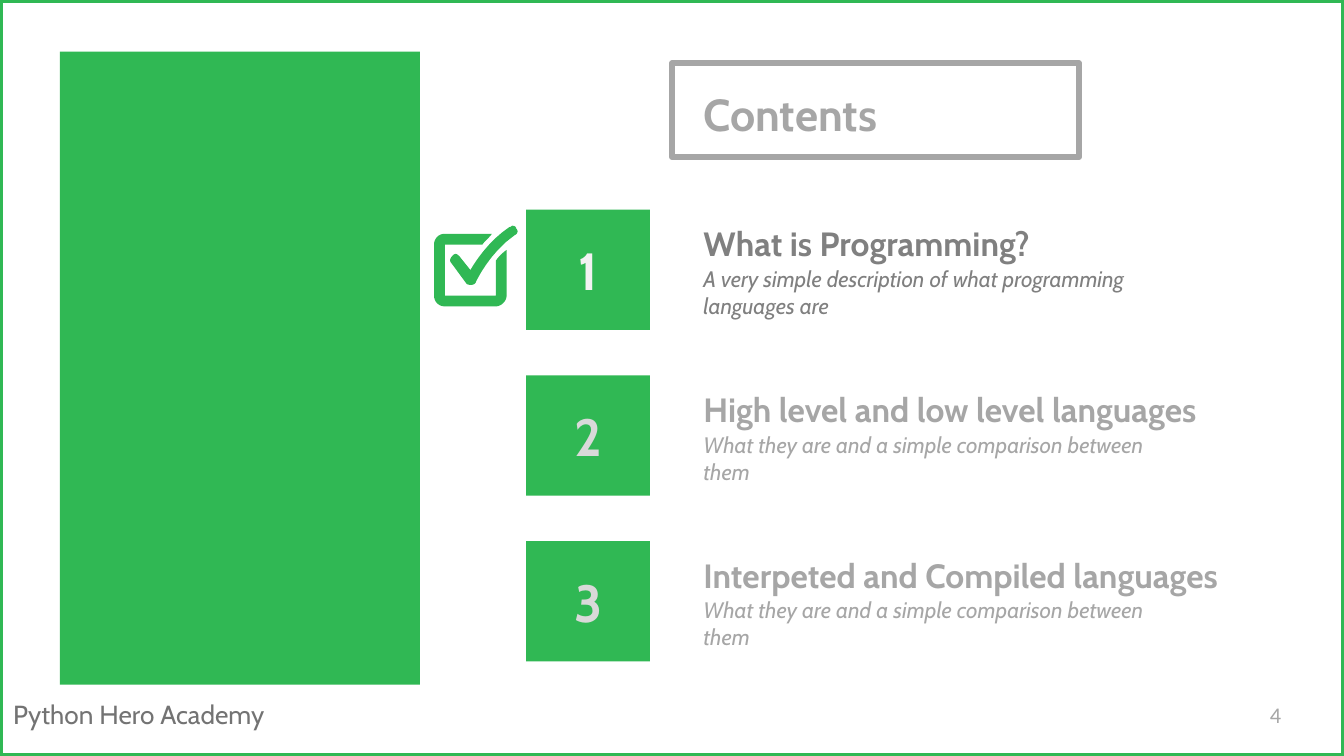
from pptx import Presentation, util as u
from pptx.dml import color
from pptx.enum import shapes, text

GREEN, GREY, DARK = "30B854", "A6A6A6", "808080"
rgb = color.RGBColor.from_string

deck = Presentation()
deck.slide_width = u.Inches(10)
deck.slide_height = deck.slide_width * 9 // 16
CELL = deck.slide_width / 100
page = deck.slides.add_slide(deck.slide_layouts[6])


def add_block(area, fill=None, line=None):
    block = page.shapes.add_shape(
        shapes.MSO_SHAPE.RECTANGLE, *(round(side * CELL) for side in area))
    block.shadow.inherit = False
    if fill:
        block.fill.solid()
        block.fill.fore_color.rgb = rgb(fill)
    else:
        block.fill.background()
    if line:
        block.line.color.rgb = rgb(line)
        block.line.width = u.Pt(3)
    else:
        block.line.fill.background()


def add_text(words, area, size, ink, anchor="MIDDLE", align="LEFT",
             bold=False, italic=False, face="Cabin", inset=1):
    box = page.shapes.add_textbox(*(round(side * CELL) for side in area))
    frame = box.text_frame
    frame.text = words
    frame.word_wrap = True
    frame.vertical_anchor = text.MSO_ANCHOR[anchor]
    frame.margin_left = frame.margin_right = round(CELL)
    frame.margin_top = frame.margin_bottom = round(inset * CELL)
    para = frame.paragraphs[0]
    para.alignment = text.PP_ALIGN[align]
    font = para.runs[0].font
    font.name, font.size, font.bold, font.italic = face, u.Pt(size), bold, italic
    font.color.rgb = rgb(ink)
    return para


add_text("Python Hero Academy", (0, 51.5, 25.5, 3.4), 14, "737373",
         anchor="TOP", inset=0.5)
add_block((50, 4.7, 30.3, 7), line=GREY)
add_block((4.45, 3.85, 26.8, 47.1), fill=GREEN)
add_block((0, 0, 100, 56.25), line=GREEN)

heading = add_text("Contents", (51.36, 2.05, 58.1, 12.2), 24, GREY, bold=True)
heading.line_spacing = 1.15
add_text("4", (93.5, 51.05, 6, 4.3), 12, GREY, face="Calibri")

chapters = [
    ("What is Programming?",
     "A very simple description of what programming languages are", DARK, "F2F2F2"),
    ("High level and low level languages",
     "What they are and a simple comparison between them", GREY, "D9D9D9"),
    ("Interpeted and Compiled languages",
     "What they are and a simple comparison between them", GREY, "D9D9D9"),
]
for index, (title, summary, ink, number_ink) in enumerate(chapters):
    top = 15.6 + index * 12.33
    add_block((39.15, top, 9.2, 8.95), fill=GREEN)
    add_text(str(index + 1), (36.87, top + 1, 13.8, 7), 28, number_ink,
             align="CENTER", bold=True)
    add_text(title, (51.36, top - 2.5, 58.1, 7.5), 18, ink, anchor="BOTTOM", bold=True)
    add_text(summary, (51.36, top + 3.13, 36.8, 6.3), 12, ink, anchor="TOP", italic=True)

tick = [
    (38.1, 16.8), (38.1, 16.8, 38, 16.9, 37.9, 16.9),
    (36.4, 17.9, 35.4, 19.4, 35, 20.1), (34.2, 19.1),
    (34.1, 19, 34, 18.9, 33.9, 18.9), (33.8, 18.9, 33.7, 19, 33.7, 19),
    (33.5, 19.2, 33.4, 19.4, 33.6, 19.6), (34.7, 21.1),
    (34.8, 21.2, 34.9, 21.2, 35.1, 21.2), (35.2, 21.2, 35.4, 21.1, 35.4, 21),
    (35.4, 21, 36.4, 18.8, 38.3, 17.5), (38.5, 17.4, 38.6, 17.2, 38.4, 17),
    (38.4, 16.9, 38.3, 16.8, 38.1, 16.8),
]
checkbox = [
    (36.9, 19.4), (36.9, 22), (33.1, 22), (33.1, 18.2), (35.9, 18.2),
    (36.1, 17.9, 36.4, 17.7, 36.6, 17.4), (33.1, 17.4),
    (32.6, 17.4, 32.3, 17.8, 32.3, 18.2), (32.3, 22),
    (32.3, 22.4, 32.6, 22.8, 33.1, 22.8), (36.9, 22.8),
    (37.3, 22.8, 37.7, 22.4, 37.7, 22), (37.7, 18.6),
    (37.4, 18.8, 37.1, 19.1, 36.9, 19.4),
]
STEPS = 8
for outline in (tick, checkbox):
    points = [outline[0]]
    for segment in outline[1:]:
        if len(segment) == 2:
            points.append(segment)
            continue
        controls = [points[-1], segment[:2], segment[2:4], segment[4:]]
        for step in range(1, STEPS + 1):
            t = step / STEPS
            weights = ((1 - t) ** 3, 3 * t * (1 - t) ** 2, 3 * t * t * (1 - t), t ** 3)
            points.append(tuple(
                sum(weight * control[axis] for weight, control in zip(weights, controls))
                for axis in (0, 1)))
    points = [(x * CELL, y * CELL) for x, y in points]
    builder = page.shapes.build_freeform(*points[0])
    builder.add_line_segments(points[1:], close=True)
    icon = builder.convert_to_shape()
    icon.shadow.inherit = False
    icon.fill.solid()
    icon.fill.fore_color.rgb = rgb(GREEN)
    icon.line.fill.background()

deck.save("out.pptx")
